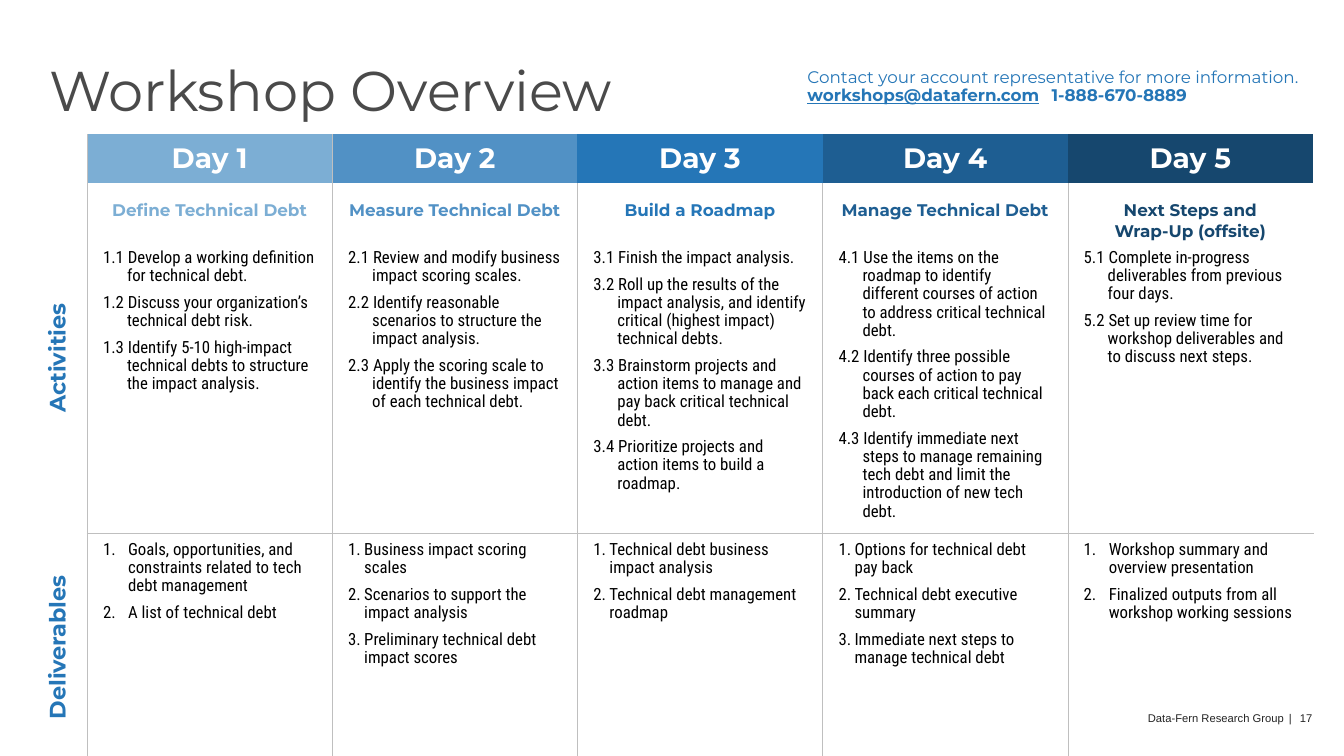
from lxml import etree
from pptx import Presentation
from pptx import util as u
from pptx.dml.color import RGBColor
from pptx.enum import text
from pptx.oxml import ns

PX = 9080
WHITE = RGBColor(0xFF, 0xFF, 0xFF)
BLACK = RGBColor(0x00, 0x00, 0x00)
TITLE_GRAY = RGBColor(0x4A, 0x4A, 0x4A)
FOOTER_GRAY = RGBColor(0x24, 0x24, 0x24)
RULE_GRAY = RGBColor(0xBF, 0xBF, 0xBF)
BLUE = RGBColor(0x25, 0x76, 0xB7)
DAY_BLUES = [
    RGBColor(0x7C, 0xAE, 0xD4),
    RGBColor(0x51, 0x91, 0xC5),
    BLUE,
    RGBColor(0x1E, 0x5E, 0x92),
    RGBColor(0x16, 0x47, 0x6E),
]
NO_GRID_STYLE = "{2D5ABB26-0587-4C30-8999-92F81FD0307C}"

THEMES = [
    "Define Technical Debt",
    "Measure Technical Debt",
    "Build a Roadmap",
    "Manage Technical Debt",
    "Next Steps and\vWrap-Up (offsite)",
]
ACTIVITIES = [
    ["1.1 Develop a working definition for technical debt.",
     "1.2 Discuss your organization’s technical debt risk.",
     "1.3 Identify 5-10 high-impact technical debts to structure the impact analysis."],
    ["2.1 Review and modify business impact scoring scales.",
     "2.2 Identify reasonable scenarios to structure the impact analysis.",
     "2.3 Apply the scoring scale to identify the business impact of each technical debt."],
    ["3.1 Finish the impact analysis.",
     "3.2 Roll up the results of the impact analysis, and identify critical (highest impact) technical debts.",
     "3.3 Brainstorm projects and action items to manage and pay back critical technical debt.",
     "3.4 Prioritize projects and action items to build a roadmap."],
    ["4.1 Use the items on the roadmap to identify different courses of action to address critical technical debt.",
     "4.2 Identify three possible courses of action to pay back each critical technical debt.",
     "4.3 Identify immediate next steps to manage remaining tech debt and limit the introduction of new tech debt."],
    ["5.1 Complete in-progress deliverables from previous four days.",
     "5.2 Set up review time for workshop deliverables and to discuss next steps."],
]
DELIVERABLES = [
    ["Goals, opportunities, and constraints related to tech debt management",
     "A list of technical debt"],
    ["Business impact scoring scales",
     "Scenarios to support the impact analysis",
     "Preliminary technical debt impact scores"],
    ["Technical debt business impact analysis",
     "Technical debt management roadmap"],
    ["Options for technical debt pay back",
     "Technical debt executive summary",
     "Immediate next steps to manage technical debt"],
    ["Workshop summary and overview presentation",
     "Finalized outputs from all workshop working sessions"],
]
NUMBER_INDENTS = [25, 16, 16, 16, 25]


def write(frame, lines, name, size, color, bold=False, indent=None, numbered=False, tabs=(), **layout):
    for index, line in enumerate(lines):
        paragraph = frame.paragraphs[0] if index == 0 else frame.add_paragraph()
        paragraph.text = line
        for key, value in layout.items():
            if key != "space_before" or index > 0:
                setattr(paragraph, key, value)
        properties = paragraph._p.get_or_add_pPr()
        if indent:
            properties.set("marL", str(indent[0] * PX))
            properties.set("indent", str(indent[1] * PX))
        if numbered:
            etree.SubElement(properties, ns.qn("a:buAutoNum"), type="arabicPeriod")
        if tabs:
            tab_list = etree.SubElement(properties, ns.qn("a:tabLst"))
            for tab in tabs:
                etree.SubElement(tab_list, ns.qn("a:tab"), pos=str(tab * PX), algn="l")
        for run in paragraph.runs:
            for key, value in {"name": name, "size": u.Pt(size), "bold": bold}.items():
                setattr(run.font, key, value)
            run.font.color.rgb = color


def dress(cell, borders, margins=None, fill=None):
    properties = cell._tc.get_or_add_tcPr()
    for side in "LRTB":
        if side in borders:
            color, width = borders[side]
            line = etree.SubElement(properties, ns.qn("a:ln" + side), w=str(u.Pt(width)))
            solid = etree.SubElement(line, ns.qn("a:solidFill"))
            etree.SubElement(solid, ns.qn("a:srgbClr"), val=str(color))
    if fill is None:
        cell.fill.background()
    else:
        cell.fill.solid()
        cell.fill.fore_color.rgb = fill
    if margins:
        for side, margin in zip(("left", "top", "right", "bottom"), margins):
            setattr(cell, "margin_" + side, margin * PX)


presentation = Presentation()
presentation.slide_width = 1343 * PX
presentation.slide_height = 755 * PX
slide = presentation.slides.add_slide(presentation.slide_layouts[5])

title = slide.shapes.title
for key, value in {"left": 39, "top": 58, "width": 696, "height": 59}.items():
    setattr(title, key, value * PX)
title.text_frame.auto_size = text.MSO_AUTO_SIZE.NONE
title.text_frame.vertical_anchor = text.MSO_ANCHOR.TOP
write(title.text_frame, ["Workshop Overview"], "Montserrat", 40, TITLE_GRAY,
      alignment=text.PP_ALIGN.LEFT, line_spacing=0.9)

footer = slide.shapes.add_textbox(970 * PX, 710 * PX, 373 * PX, 13 * PX).text_frame
footer.word_wrap = True
for side, margin in {"left": 177, "top": 0, "right": 0, "bottom": 0}.items():
    setattr(footer, "margin_" + side, margin * PX)
write(footer, ["Data-Fern Research Group\t|\t17"], "Arial", 8, FOOTER_GRAY, tabs=(141, 152))

table_shape = slide.shapes.add_table(4, 6, 39 * PX, 134 * PX, 1273 * PX, 562 * PX)
table = table_shape.table
table.first_row = False
table.horz_banding = False
table._tbl.tblPr.find(ns.qn("a:tableStyleId")).text = NO_GRID_STYLE
for column, width in zip(table.columns, [48] + [245] * 5):
    column.width = width * PX
for row, height in zip(table.rows, [49, 55, 272, 186]):
    row.height = height * PX

gray_rule = (RULE_GRAY, 0.25)
white_rule = (WHITE, 1.5)
table.cell(1, 0).merge(table.cell(2, 0))
for row in range(4):
    dress(table.cell(row, 0), {"R": gray_rule})
for row, label in ((1, "Activities"), (3, "Deliverables")):
    cell = table.cell(row, 0)
    cell._tc.get_or_add_tcPr().set("vert", "vert270")
    cell.vertical_anchor = text.MSO_ANCHOR.MIDDLE
    write(cell.text_frame, [label], "Montserrat", 16, BLUE, True, (24, -50),
          alignment=text.PP_ALIGN.CENTER, space_after=u.Pt(5))

list_format = {"line_spacing": u.Pt(13), "space_before": u.Pt(6)}
for day, blue in enumerate(DAY_BLUES):
    header, theme, activities, deliverables = [table.cell(row, day + 1) for row in range(4)]
    sides = {"L": gray_rule, "R": white_rule if day == 4 else gray_rule}
    dress(header, {"L": gray_rule} if day == 0 else {}, fill=blue)
    dress(theme, sides, (12, 16, 12, 0))
    dress(activities, {**sides, "B": gray_rule}, (16, 8, 16, 12))
    dress(deliverables, {**sides, "T": gray_rule, "B": white_rule}, (16, 8, 16, 12))

    header.vertical_anchor = text.MSO_ANCHOR.MIDDLE
    write(header.text_frame, [f"Day {day + 1}"], "Montserrat", 20, WHITE, True,
          alignment=text.PP_ALIGN.CENTER)
    write(theme.text_frame, [THEMES[day]], "Montserrat", 12, blue, True,
          alignment=text.PP_ALIGN.CENTER, line_spacing=u.Pt(15))
    write(activities.text_frame, ACTIVITIES[day], "Roboto Condensed", 12, BLACK,
          indent=(24, -50), **list_format)
    number_indent = NUMBER_INDENTS[day]
    write(deliverables.text_frame, DELIVERABLES[day], "Roboto Condensed", 12, BLACK,
          indent=(number_indent, -number_indent), numbered=True, **list_format)

contact = slide.shapes.add_textbox(797 * PX, 64 * PX, 514 * PX, 48 * PX).text_frame
contact.word_wrap = True
write(contact, ["Contact your account representative for more information.\v"],
      "Montserrat", 12, BLUE, tabs=(244,), line_spacing=0.9)
for words, underline in (("workshops@datafern.com", True), ("\t1-888-670-8889", False)):
    run = contact.paragraphs[0].add_run()
    run.text = words
    for key, value in {"name": "Montserrat", "size": u.Pt(12), "bold": True, "underline": underline}.items():
        setattr(run.font, key, value)
    run.font.color.rgb = BLUE

presentation.save("out.pptx")
